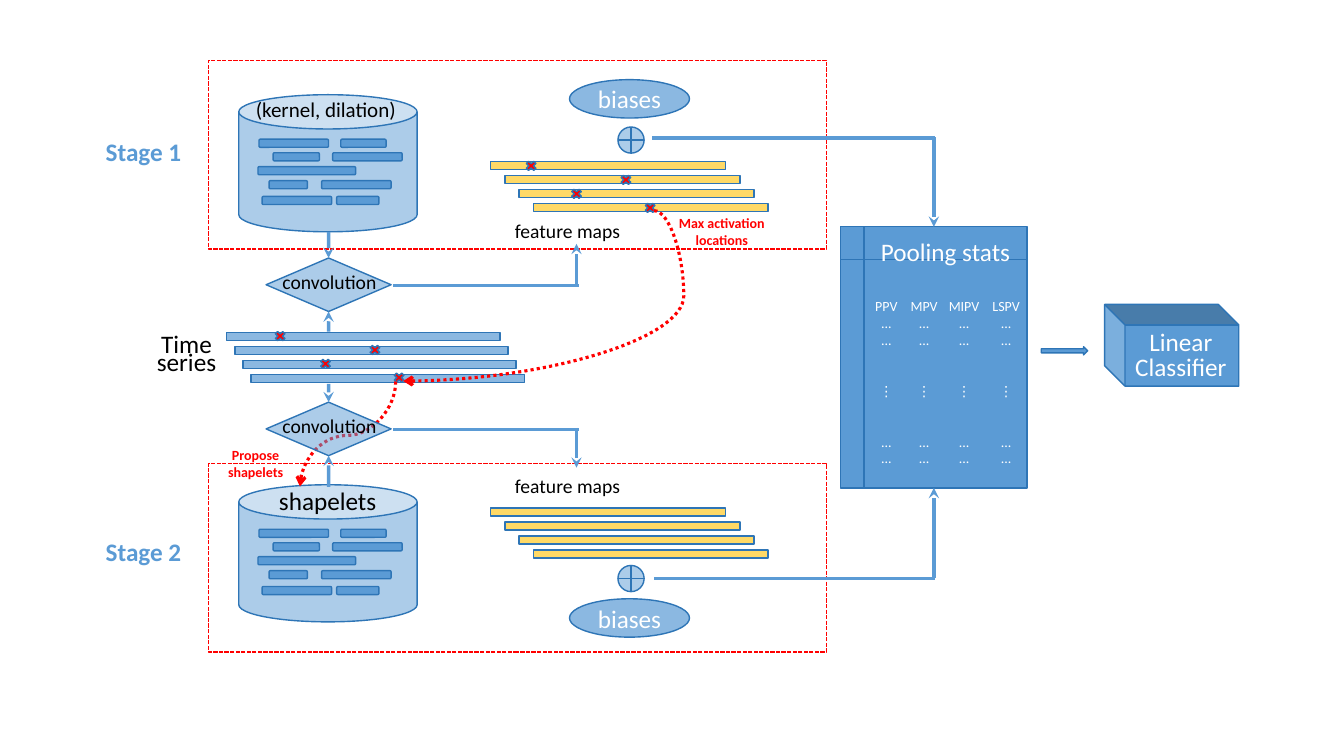
from lxml import etree
from pptx import Presentation
from pptx.dml.color import RGBColor
from pptx.enum.dml import MSO_LINE
from pptx.enum.shapes import MSO_CONNECTOR, MSO_SHAPE
from pptx.enum.text import MSO_ANCHOR, PP_ALIGN
from pptx.oxml.ns import qn
from pptx.util import Pt

RECT, ROUNDED, OVAL = MSO_SHAPE.RECTANGLE, MSO_SHAPE.ROUNDED_RECTANGLE, MSO_SHAPE.OVAL
CAN, CUBE, CROSS = MSO_SHAPE.CAN, MSO_SHAPE.CUBE, MSO_SHAPE.MATH_MULTIPLY
DIAMOND, PLUS = MSO_SHAPE.FLOWCHART_DECISION, MSO_SHAPE.FLOWCHART_OR
STORAGE, ARROW = MSO_SHAPE.FLOWCHART_INTERNAL_STORAGE, MSO_SHAPE.RIGHT_ARROW
STRAIGHT, CURVE = MSO_CONNECTOR.STRAIGHT, MSO_CONNECTOR.CURVE
DASHES, DOTS = MSO_LINE.SQUARE_DOT, MSO_LINE.ROUND_DOT
LEFT, CENTER, MIDDLE = PP_ALIGN.LEFT, PP_ALIGN.CENTER, MSO_ANCHOR.MIDDLE
TOP, BOTTOM = 0, 2

# Content, all lengths in points
FONT = "Calibri"
BLUE, EDGE, YELLOW = "5B9BD5", "2E75B6", "FFC000"
RED, BLACK, WHITE = "FF0000", "000000", "FFFFFF"

STAGES = [
    dict(label="Stage 1", label_top=93.6, frame_top=43.2, can_top=67.7, maps_top=115.2,
         biases_top=56.9, plus_top=90.7, maps_label_top=152.6,
         source=("(kernel, dilation)", 175.7, 65.5, 124.6, 25.2, 15)),
    dict(label="Stage 2", label_top=379.4, frame_top=331.2, can_top=346.3, maps_top=362.9,
         biases_top=427.7, plus_top=403.9, maps_label_top=334.8,
         source=("shapelets", 192.2, 343.4, 87.1, 28.8, 18)),
]
# Kernel bars: offset below the cylinder's top, then (left, width) of each bar
KERNEL_ROWS = [
    (31.7, [(185, 49.7), (243.4, 32.4)]),
    (41.4, [(195.1, 33.1), (237.6, 49.7)]),
    (51.3, [(184.3, 69.8)]),
    (61.3, [(192.2, 27.4), (229.7, 49.7)]),
    (72.6, [(187.2, 49.7), (240.5, 30.2)]),
]
BAR_HEIGHT = 5.8
MAPS = dict(left=350.6, step_x=10.1, step_y=10, width=167.8)
SERIES = dict(left=162, step_x=5.8, step_y=9.9, width=195.1)
SERIES_TOP = 237.6
ACTIVATIONS = [374.4, 442.1, 406.8, 459.4]
SERIES_SHIFT = -179.3

DOT_ROW = ["..."] * 4
STAT_COLUMNS = [16, 43, 71.5, 101.5]
STAT_ROWS = [  # space before, cells
    (22, ["PPV", "MPV", "MIPV", "LSPV"]),
    (0, DOT_ROW), (0, DOT_ROW),
    (24.4, ["⋮"] * 4),
    (24.4, DOT_ROW), (0, DOT_ROW),
]

prs = Presentation()
prs.slide_width, prs.slide_height = Pt(960), Pt(540)
slide = prs.slides.add_slide(prs.slide_layouts[6])


def rgb(value):
    return RGBColor.from_string(value)


def style(paragraph, size, color, bold=False, align=CENTER):
    paragraph.alignment = align
    for run in paragraph.runs:
        run.font.name, run.font.size, run.font.bold = FONT, Pt(size), bold
        run.font.color.rgb = rgb(color)


def shape(kind, left, top, width, height, fill=BLUE, opacity=100, edge=EDGE):
    item = slide.shapes.add_shape(kind, Pt(left), Pt(top), Pt(width), Pt(height))
    item.shadow.inherit = False
    item.line.color.rgb, item.line.width = rgb(edge), Pt(1)
    if fill is None:
        item.fill.background()
        return item
    item.fill.solid()
    item.fill.fore_color.rgb = rgb(fill)
    if opacity < 100:
        color = item._element.spPr.find(qn("a:solidFill"))[0]
        etree.SubElement(color, qn("a:alpha"), val=str(opacity * 1000))
    return item


def label(text, left, top, width, height, size, color=BLACK, bold=False,
          align=LEFT, spacing=None):
    box = slide.shapes.add_textbox(Pt(left), Pt(top), Pt(width), Pt(height))
    box.text_frame.word_wrap = True
    box.text_frame.text = text
    for paragraph in box.text_frame.paragraphs:
        style(paragraph, size, color, bold, align)
        paragraph.line_spacing = spacing


def connector(x1, y1, x2, y2, head=None, kind=STRAIGHT, color=BLUE, width=2.5, dash=None):
    item = slide.shapes.add_connector(kind, Pt(x1), Pt(y1), Pt(x2), Pt(y2))
    item.line.color.rgb, item.line.width = rgb(color), Pt(width)
    if dash:
        item.line.dash_style = dash
    properties = item._element.spPr
    if head:
        etree.SubElement(properties.find(qn("a:ln")), qn("a:tailEnd"), type=head)
    etree.SubElement(properties, qn("a:effectLst"))
    return item


def curve(x1, y1, x2, y2, bend, turn=0):
    item = connector(x1, y1, x2, y2, "arrow", CURVE, RED, 2.25, DOTS)
    properties = item._element.spPr
    guides = properties.find(qn("a:prstGeom")).get_or_add_avLst()
    etree.SubElement(guides, qn("a:gd"), name="adj1", fmla=f"val {bend}")
    if turn:
        properties.find(qn("a:xfrm")).set("rot", str(turn * 60000))


def staircase(left, step_x, step_y, width, top, fill, opacity):
    for i in range(4):
        shape(RECT, left + i * step_x, top + i * step_y, width, BAR_HEIGHT, fill, opacity)


def crosses(shift, top, step_y):
    for i, left in enumerate(ACTIVATIONS):
        shape(CROSS, left + shift, top + i * step_y, 10.1, 9.4, RED)


# Two stages
for stage in STAGES:
    shape(CAN, 170.6, stage["can_top"], 127.4, 97.9, opacity=50)
    for offset, bars in KERNEL_ROWS:
        for left, width in bars:
            shape(ROUNDED, left, stage["can_top"] + offset, width, BAR_HEIGHT)
    label(*stage["source"])
    staircase(**MAPS, top=stage["maps_top"], fill=YELLOW, opacity=60)
    label("feature maps", 360.7, stage["maps_label_top"], 101, 24.5, 14)
    biases = shape(OVAL, 406.8, stage["biases_top"], 85.7, 27.4, opacity=70)
    biases.text_frame.text = "biases"
    biases.text_frame.vertical_anchor = MIDDLE
    style(biases.text_frame.paragraphs[0], 18, WHITE)
    shape(PLUS, 441.4, stage["plus_top"], 18.7, 18.7, opacity=50)
    frame = shape(RECT, 149, stage["frame_top"], 441.4, 134.6, fill=None, edge=RED)
    frame.line.dash_style = DASHES
    label(stage["label"], 68.4, stage["label_top"], 69.8, 28.8, 18, BLUE, True)

# Time series and activation marks
staircase(**SERIES, top=SERIES_TOP, fill=BLUE, opacity=70)
label("Time series", 101.5, 238.3, 63.4, 41.8, 18, align=CENTER, spacing=0.6)
crosses(0, 113.8, MAPS["step_y"])
crosses(SERIES_SHIFT, 235.4, SERIES["step_y"])

# Pooling statistics
pooling = shape(STORAGE, 600.5, 162, 133.2, 186.5)
stats = pooling.text_frame
stats.vertical_anchor = MIDDLE
stats.margin_left = stats.margin_right = 0
stats.margin_bottom = Pt(35)
stats.text = "Pooling stats"
style(stats.paragraphs[0], 18, WHITE)
for gap, cells in STAT_ROWS:
    row = stats.add_paragraph()
    row.text = "".join("\t" + cell for cell in cells)
    style(row, 10, WHITE, align=LEFT)
    row.space_before = Pt(gap)
    tabs = etree.SubElement(row._p.get_or_add_pPr(), qn("a:tabLst"))
    for position in STAT_COLUMNS:
        etree.SubElement(tabs, qn("a:tab"), pos=str(Pt(position)), algn="ctr")

# Classifier
shape(ARROW, 743.8, 247.7, 33.1, 5.8)
shape(CUBE, 807.8, 198.7, 58.3, 95.8).rotation = 270
label("Linear\nClassifier", 798.5, 234, 90, 41.8, 18, WHITE, align=CENTER, spacing=0.8)

# Shapelet proposal
label("Max activation locations", 477.4, 149.8, 76.3, 31.7, 10, RED, True, CENTER)
curve(467.3, 150.5, 288, 272.2, -11800)
curve(211, 275.8, 285.9, 344.2, 51400, turn=90)
label("Propose shapelets", 142.6, 315.4, 79.9, 33.1, 10, RED, True, CENTER)

# Convolutions
diamonds = []
for top in (184.3, 287.3):
    diamonds.append(shape(DIAMOND, 190.1, top, 89.3, 38.2, opacity=50))
    label("convolution", 177.8, top + 5, 115.2, 24.5, 14, align=CENTER)
upper, lower = diamonds

# Arrows into the convolutions and the pooling box
for start, end, target, site in [
    ((234.7, 165.6), (234.7, 184.3), upper, TOP),
    ((234.7, 236.9), (234.7, 222.5), upper, BOTTOM),
    ((234.7, 274.3), (234.7, 287.3), lower, TOP),
    ((234.7, 347.8), (234.7, 325.5), lower, BOTTOM),
    ((667.1, 97.9), (667.1, 162), pooling, TOP),
    ((667.1, 412.9), (667.1, 348.5), pooling, BOTTOM),
]:
    connector(*start, *end, "stealth").end_connect(target, site)

# Remaining parts of the bent arrows
connector(280.8, 204.1, 413.3, 204.1)
connector(411.8, 203.4, 411.8, 174.2, "stealth")
connector(280.8, 306.7, 413.3, 306.7)
connector(411.8, 305.6, 411.8, 334.1, "stealth")
connector(465.8, 98.6, 668.2, 98.6)
connector(467.3, 413.3, 668.2, 413.3)

prs.save("out.pptx")
